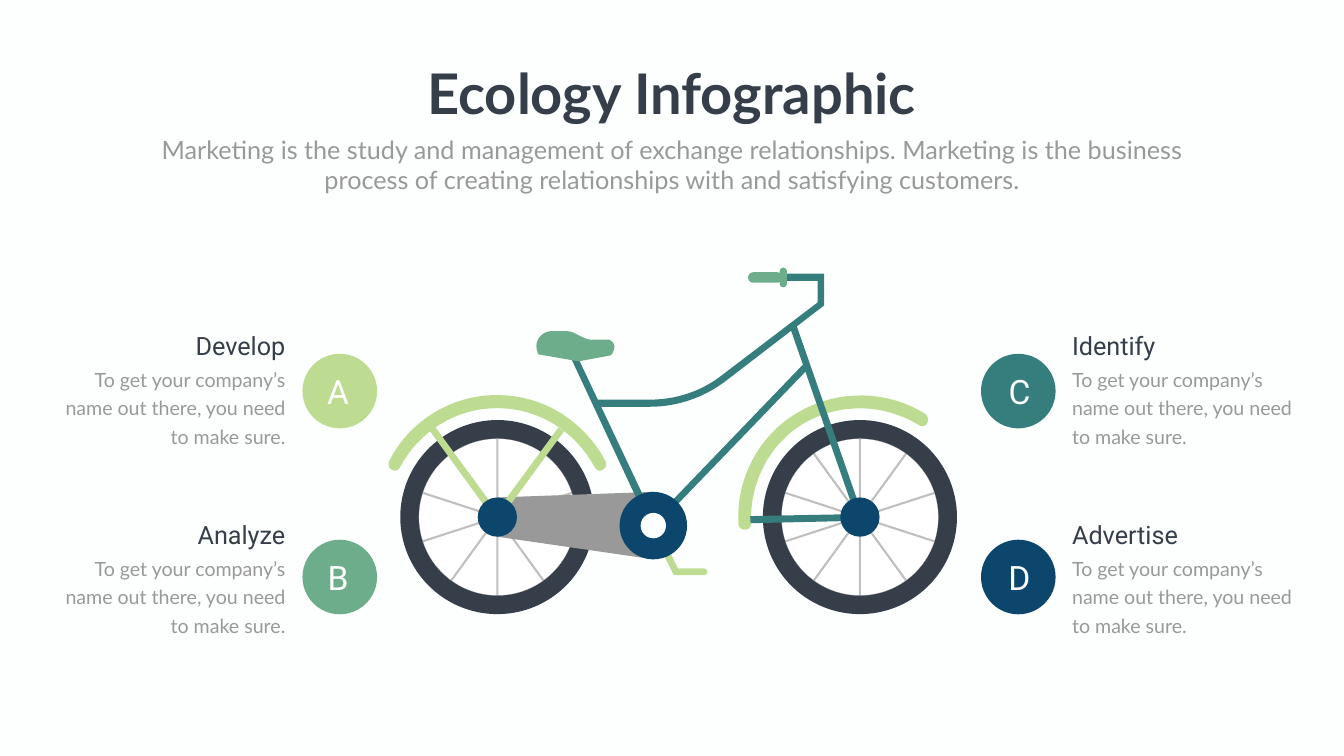
from dataclasses import dataclass
from math import cos, radians, sin
from typing import NamedTuple

from lxml import etree
from pptx import Presentation
from pptx import util as u
from pptx.dml import color
from pptx.enum import shapes, text
from pptx.oxml import ns


@dataclass(frozen=True)
class Theme:
    background: str = "FDFFFE"
    white: str = "FFFFFF"
    dark: str = "353E49"
    gray: str = "989998"
    spoke: str = "808080"
    rim: str = "A0A0A0"
    lime: str = "BDDB91"
    green: str = "6DAD8B"
    teal: str = "367E7D"
    navy: str = "0D466C"
    heading_font: str = "Roboto"
    body_font: str = "Lato"
    title_size: float = 80
    letter_size: float = 48
    heading_size: float = 36
    body_size: float = 28
    body_leading: float = 40.8


class Box(NamedTuple):
    left: float
    top: float
    width: float
    height: float


class Style(NamedTuple):
    font: str
    size: float
    color: str
    align: text.PP_ALIGN
    bold: bool = False
    leading: float | None = None


class Outline(NamedTuple):
    color: str
    steps: list[tuple[float, ...]]


class Side(NamedTuple):
    badge_left: float
    letter_left: float
    heading_left: float
    body_left: float
    align: text.PP_ALIGN


class Row(NamedTuple):
    badge_top: float
    text_top: float


class Card(NamedTuple):
    letter: str
    heading: str
    color: str
    side: Side
    row: Row


THEME = Theme()
CENTER = text.PP_ALIGN.CENTER
LEFT = Side(15.24, 15.9, 3.48, 2.64, text.PP_ALIGN.RIGHT)
RIGHT = Side(49.43, 50.24, 53.77, 53.77, text.PP_ALIGN.LEFT)
UPPER, LOWER = Row(17.83, 16.51), Row(27.2, 26.04)
CARDS = [
    Card("A", "Develop", THEME.lime, LEFT, UPPER),
    Card("B", "Analyze", THEME.green, LEFT, LOWER),
    Card("C", "Identify", THEME.teal, RIGHT, UPPER),
    Card("D", "Advertise", THEME.navy, RIGHT, LOWER),
]
CARD_BODY = "To get your company’s name out there, you need to make sure."
SUBTITLE = (
    "Marketing is the study and management of exchange relationships. Marketing is the "
    "business process of creating relationships with and satisfying customers."
)
WHEEL_Y = 26.06
WHEELS = (25.06, 43.33)
PEDAL = Outline(THEME.lime, [
    (35.46, 28.98), (34.04, 28.98), (33.99, 28.98, 33.93, 28.96, 33.91, 28.91),
    (32.77, 26.57), (32.72, 26.47, 32.74, 26.37, 32.82, 26.31),
    (32.94, 26.29, 33.02, 26.31, 33.07, 26.39), (34.16, 28.65), (35.46, 28.65),
    (35.53, 28.65, 35.64, 28.73, 35.64, 28.83), (35.64, 28.93, 35.53, 28.98, 35.46, 28.98)])
REAR_FENDER = Outline(THEME.lime, [
    (25.04, 20.57), (27.18, 20.57, 29.01, 21.77, 29.95, 23.52),
    (30, 23.62, 30.1, 23.72, 30.2, 23.72), (30.45, 23.72, 30.63, 23.44, 30.51, 23.24),
    (29.46, 21.26, 27.43, 19.91, 25.04, 19.91), (22.68, 19.91, 20.6, 21.26, 19.61, 23.24),
    (19.51, 23.44, 19.66, 23.72, 19.91, 23.72), (20.02, 23.72, 20.12, 23.62, 20.17, 23.52),
    (21.11, 21.77, 22.94, 20.57, 25.04, 20.57)])
FRONT_FENDER = Outline(THEME.lime, [
    (40.54, 21.31), (42.39, 20.27, 44.58, 20.37, 46.28, 21.41),
    (46.38, 21.49, 46.48, 21.49, 46.61, 21.44), (46.81, 21.29, 46.81, 21.01, 46.61, 20.85),
    (44.75, 19.69, 42.29, 19.58, 40.21, 20.78), (38.18, 21.97, 37.08, 24.18, 37.21, 26.39),
    (37.21, 26.64, 37.49, 26.77, 37.72, 26.64), (37.8, 26.59, 37.87, 26.47, 37.85, 26.34),
    (37.77, 24.38, 38.71, 22.4, 40.54, 21.31)])
CHAIN = Outline(THEME.gray, [(32.92, 24.79), (25.07, 25.07), (25.07, 27.05), (32.92, 28.19)])
STAYS = Outline(THEME.lime, [
    (25.04, 26.37), (21.64, 21.69), (21.92, 21.51), (25.04, 25.76), (28.14, 21.54), (28.42, 21.74)])
TOP_TUBE = Outline(THEME.teal, [
    (32.77, 20.5), (30, 20.5), (30, 20.14), (32.77, 20.14),
    (34.04, 20.14, 35.28, 19.74, 36.3, 18.97), (41.2, 15.24), (41.2, 14.15), (39.65, 14.15),
    (39.65, 13.79), (41.53, 13.79), (41.53, 15.39), (36.53, 19.23),
    (35.46, 20.04, 34.11, 20.5, 32.77, 20.5)])
FORK = Outline(THEME.teal, [
    (37.82, 26.37), (37.8, 26.01), (43.08, 25.91), (39.78, 16.43), (40.11, 16.33), (43.56, 26.24)])
DOWN_TUBE = Outline(THEME.teal, [
    (32.84, 26.77), (28.73, 17.96), (29.03, 17.83), (32.97, 26.16), (40.54, 18.29), (40.79, 18.52)])
SADDLE = Outline(THEME.green, [
    (27.13, 17.86), (29.16, 18.21), (30.78, 17.91), (30.78, 17.91, 31.22, 17.4, 30.71, 17.12),
    (29.82, 17.12), (29.69, 17.12, 29.57, 17.09, 29.41, 17.02), (28.88, 16.76),
    (28.75, 16.71, 28.65, 16.69, 28.52, 16.69), (27.81, 16.69),
    (27.61, 16.69, 27.41, 16.76, 27.25, 16.92), (27.08, 17.09, 26.92, 17.4, 27.13, 17.86)])
GRIP_PARTS = [Box(39.29, 13.49, 0.36, 0.99), Box(37.69, 13.72, 1.75, 0.53)]


def rgb(value: str) -> color.RGBColor:
    return color.RGBColor.from_string(value)


def paint(shape, fill: str) -> None:
    shape.shadow.inherit = False
    shape.fill.solid()
    shape.fill.fore_color.rgb = rgb(fill)
    shape.line.fill.background()


def add_preset(slide, kind, box: Box, fill: str):
    shape = slide.shapes.add_shape(kind, *map(u.Cm, box))
    paint(shape, fill)
    return shape


def add_disc(slide, x: float, y: float, radius: float, fill: str):
    box = Box(x - radius, y - radius, 2 * radius, 2 * radius)
    return add_preset(slide, shapes.MSO_SHAPE.OVAL, box, fill)


def flatten(steps: list[tuple[float, ...]], pieces: int = 16) -> list[tuple[float, float]]:
    points = [steps[0]]
    for step in steps[1:]:
        if len(step) == 2:
            points.append(step)
            continue
        nodes = [points[-1], step[:2], step[2:4], step[4:]]
        for t in (i / pieces for i in range(1, pieces + 1)):
            weights = ((1 - t) ** 3, 3 * t * (1 - t) ** 2, 3 * t * t * (1 - t), t ** 3)
            points.append(tuple(sum(w * n[axis] for w, n in zip(weights, nodes)) for axis in (0, 1)))
    return points


def add_outline(slide, outline: Outline) -> None:
    points = [(u.Cm(x), u.Cm(y)) for x, y in flatten(outline.steps)]
    builder = slide.shapes.build_freeform(*points[0])
    builder.add_line_segments(points[1:], close=True)
    paint(builder.convert_to_shape(), outline.color)


def add_spoke(slide, x: float, y: float, length: float, angle: float) -> None:
    end = (x + length * cos(radians(angle)), y + length * sin(radians(angle)))
    spoke = slide.shapes.add_connector(shapes.MSO_CONNECTOR.STRAIGHT, *map(u.Cm, (x, y, *end)))
    spoke.line.color.rgb = rgb(THEME.spoke)
    spoke.line.width = u.Pt(3)
    properties = spoke._element.spPr
    alpha = etree.SubElement(next(properties.iter(ns.qn("a:srgbClr"))), ns.qn("a:alpha"))
    alpha.set("val", "50000")
    etree.SubElement(properties, ns.qn("a:effectLst"))


def add_wheel(slide, x: float) -> None:
    add_disc(slide, x, WHEEL_Y, 4.89, THEME.dark)
    rim = add_disc(slide, x, WHEEL_Y, 3.95, THEME.white)
    rim.line.color.rgb = rgb(THEME.rim)
    rim.line.width = u.Pt(0.25)
    for angle in range(18, 378, 36):
        add_spoke(slide, x, WHEEL_Y, 3.95, angle)


def write(shape, box: Box, words: str, style: Style, wrap: bool = True) -> None:
    shape.left, shape.top, shape.width, shape.height = map(u.Cm, box)
    frame = shape.text_frame
    frame.word_wrap = wrap
    frame.auto_size = text.MSO_AUTO_SIZE.SHAPE_TO_FIT_TEXT
    frame.vertical_anchor = text.MSO_ANCHOR.TOP
    paragraph = frame.paragraphs[0]
    paragraph.alignment = style.align
    paragraph.space_before = u.Pt(0)
    paragraph.line_spacing = u.Pt(style.leading) if style.leading else 1.0
    run = paragraph.add_run()
    run.text = words
    run.font.name, run.font.size, run.font.bold = style.font, u.Pt(style.size), style.bold
    run.font.color.rgb = rgb(style.color)


def add_text(slide, box: Box, words: str, style: Style) -> None:
    write(slide.shapes.add_textbox(*map(u.Cm, box)), box, words, style)


def add_card(slide, card: Card) -> None:
    side, row = card.side, card.row
    add_disc(slide, side.badge_left + 1.88, row.badge_top + 1.88, 1.88, card.color)
    add_text(slide, Box(side.letter_left, row.badge_top + 0.75, 2.26, 2.31), card.letter,
             Style(THEME.heading_font, THEME.letter_size, THEME.white, CENTER))
    add_text(slide, Box(side.body_left, row.text_top + 1.64, 11.99, 4.5), CARD_BODY,
             Style(THEME.body_font, THEME.body_size, THEME.gray, side.align, leading=THEME.body_leading))
    add_text(slide, Box(side.heading_left, row.text_top, 11.15, 1.8), card.heading,
             Style(THEME.heading_font, THEME.heading_size, THEME.dark, side.align))


def add_bicycle(slide) -> None:
    add_outline(slide, PEDAL)
    for x in WHEELS:
        add_wheel(slide, x)
    for outline in (REAR_FENDER, FRONT_FENDER, CHAIN, STAYS, TOP_TUBE, FORK, DOWN_TUBE, SADDLE):
        add_outline(slide, outline)
    for box in GRIP_PARTS:
        add_preset(slide, shapes.MSO_SHAPE.ROUNDED_RECTANGLE, box, THEME.green).adjustments[0] = 0.5
    for x in WHEELS:
        add_disc(slide, x, WHEEL_Y, 0.99, THEME.navy)
    add_disc(slide, 32.92, 26.49, 1.7, THEME.navy)
    add_disc(slide, 32.92, 26.49, 0.64, THEME.background)


def main() -> None:
    presentation = Presentation()
    presentation.slide_width, presentation.slide_height = u.Cm(67.72), u.Cm(38.1)
    slide = presentation.slides.add_slide(presentation.slide_layouts[0])
    slide.background.fill.solid()
    slide.background.fill.fore_color.rgb = rgb(THEME.background)
    write(slide.shapes.title, Box(21.01, 2.84, 25.68, 3.68), "Ecology Infographic",
          Style(THEME.body_font, THEME.title_size, THEME.dark, CENTER, bold=True), wrap=False)
    write(slide.placeholders[1], Box(7.42, 6.63, 52.88, 3.33), SUBTITLE,
          Style(THEME.body_font, THEME.heading_size, THEME.gray, CENTER))
    add_bicycle(slide)
    for card in CARDS:
        add_card(slide, card)
    presentation.save("out.pptx")


if __name__ == "__main__":
    main()
